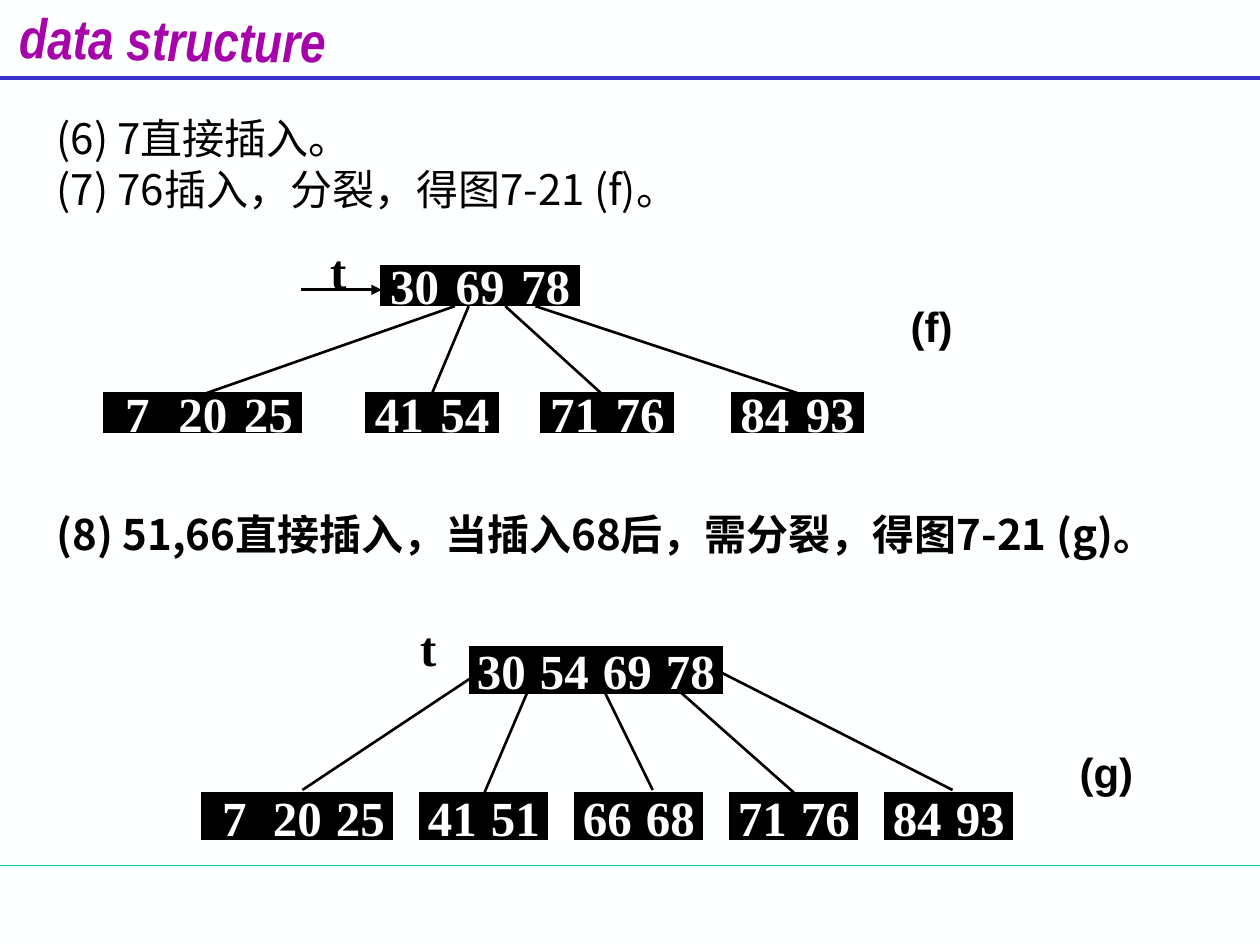
from dataclasses import dataclass
from typing import NamedTuple, Optional

from lxml.etree import SubElement
from pptx import Presentation
from pptx.dml.color import RGBColor
from pptx.enum.shapes import MSO_CONNECTOR, MSO_SHAPE
from pptx.enum.text import MSO_ANCHOR, MSO_AUTO_SIZE, PP_ALIGN
from pptx.oxml.ns import qn
from pptx.util import Inches, Pt


class TextStyle(NamedTuple):
    font: str
    size: float
    color: str
    bold: bool = False
    italic: bool = False


@dataclass(frozen=True)
class Theme:
    background: str = "FEFFFF"
    ink: str = "000000"
    header_rule: str = "3333CC"
    footer_rule: str = "00CC99"
    line_width: float = 1.5
    title: TextStyle = TextStyle("Arial Narrow", 32, "A603AB", True, True)
    step: TextStyle = TextStyle("Noto Sans CJK SC", 24, "000000")
    bold_step: TextStyle = TextStyle("Noto Sans CJK SC", 24, "000000", True)
    caption: TextStyle = TextStyle("Arial", 24, "000000", True)
    key: TextStyle = TextStyle("Times New Roman", 28, "FEFFFF", True)
    pointer: TextStyle = TextStyle("Times New Roman", 28, "000000", True)


THEME = Theme()


class Area(NamedTuple):
    left: float
    top: float
    width: float
    height: float


class Segment(NamedTuple):
    x1: float
    y1: float
    x2: float
    y2: float


class Node(NamedTuple):
    left: float
    keys: str


@dataclass(frozen=True)
class Tree:
    cell_width: float
    cell_height: float
    root_top: float
    leaf_top: float
    root: Node
    leaves: list[Node]
    edges: list[Segment]
    pointer: Area
    caption: str
    caption_area: Area


TREES = [
    Tree(0.52, 0.31, 2.11, 3.12, Node(3.03, "30 69 78"),
         [Node(0.83, "7 20 25"), Node(2.91, "41 54"),
          Node(4.3, "71 76"), Node(5.81, "84 93")],
         [Segment(1.64, 3.12, 3.61, 2.43), Segment(3.43, 3.12, 3.72, 2.43),
          Segment(4.77, 3.12, 4.01, 2.43), Segment(4.25, 2.43, 6.33, 3.12)],
         Area(2.51, 1.86, 0.35, 0.57), "(f)", Area(7.13, 2.41, 0.63, 0.47)),
    Tree(0.5, 0.36, 5.14, 6.3, Node(3.73, "30 54 69 78"),
         [Node(1.61, "7 20 25"), Node(3.34, "41 51"), Node(4.57, "66 68"),
          Node(5.8, "71 76"), Node(7.03, "84 93")],
         [Segment(2.4, 6.27, 3.83, 5.32), Segment(3.82, 6.35, 4.26, 5.32),
          Segment(5.18, 6.27, 4.69, 5.27), Segment(5.25, 5.36, 6.3, 6.29),
          Segment(5.67, 5.31, 7.56, 6.27)],
         Area(3.23, 4.85, 0.34, 0.57), "(g)", Area(8.47, 5.95, 0.63, 0.47)),
]


def inches(area: Area) -> list[int]:
    return [Inches(value) for value in area]


def style_paragraph(para, style: TextStyle, align=PP_ALIGN.LEFT) -> None:
    """Format every run, with the same face for Latin and East Asian text."""
    para.alignment = align
    for span in para.runs:
        font = span.font
        font.name = style.font
        font.size = Pt(style.size)
        font.bold = style.bold
        font.italic = style.italic
        font.color.rgb = RGBColor.from_string(style.color)
        SubElement(font._element, qn("a:ea")).set("typeface", style.font)


def add_text(page, area: Area, text: str, style: TextStyle, align=PP_ALIGN.LEFT,
             hanging: float = 0, spacing: Optional[float] = None) -> None:
    box = page.shapes.add_textbox(*inches(area))
    frame = box.text_frame
    frame.word_wrap = True
    frame.text = text
    for index, para in enumerate(frame.paragraphs):
        style_paragraph(para, style, align)
        if spacing:
            para.line_spacing = spacing
        if index:
            para.space_before = Pt(6)
        if hanging:
            properties = para._p.get_or_add_pPr()
            properties.set("marL", str(Inches(hanging)))
            properties.set("indent", str(-Inches(hanging)))


def add_line(page, segment: Segment, color: str = THEME.ink,
             width: float = THEME.line_width, arrow: bool = False) -> None:
    connector = page.shapes.add_connector(
        MSO_CONNECTOR.STRAIGHT, *[Inches(value) for value in segment])
    connector.line.color.rgb = RGBColor.from_string(color)
    connector.line.width = Pt(width)
    if arrow:
        SubElement(connector.line._get_or_add_ln(), qn("a:tailEnd")).set("type", "triangle")
    SubElement(connector._element.spPr, qn("a:effectLst"))


def add_node(page, node: Node, top: float, width: float, height: float) -> None:
    """Draw one square-cornered cell per key, side by side."""
    for index, key in enumerate(node.keys.split()):
        area = Area(node.left + index * width, top, width, height)
        cell = page.shapes.add_shape(MSO_SHAPE.RECTANGLE, *inches(area))
        cell.shadow.inherit = False
        cell.fill.solid()
        cell.fill.fore_color.rgb = RGBColor.from_string(THEME.ink)
        cell.line.color.rgb = RGBColor.from_string(THEME.ink)
        cell.line.width = Pt(THEME.line_width)
        SubElement(cell.line._get_or_add_ln(), qn("a:miter")).set("lim", "800000")
        frame = cell.text_frame
        frame.word_wrap = False
        frame.vertical_anchor = MSO_ANCHOR.MIDDLE
        frame.text = key
        style_paragraph(frame.paragraphs[0], THEME.key, PP_ALIGN.CENTER)


def add_tree(page, tree: Tree) -> None:
    size = tree.cell_width, tree.cell_height
    for leaf in tree.leaves:
        add_node(page, leaf, tree.leaf_top, *size)
    for edge in tree.edges:
        add_line(page, edge)
    add_node(page, tree.root, tree.root_top, *size)
    add_text(page, tree.pointer, "t", THEME.pointer, PP_ALIGN.CENTER)
    add_text(page, tree.caption_area, tree.caption, THEME.caption, spacing=0.8)


def format_title(title) -> None:
    """Centre the tilted title in a box wide enough for one line."""
    title.left, title.top, title.width, title.height = inches(Area(0.02, -0.01, 2.7, 0.54))
    title.rotation = 0.8
    frame = title.text_frame
    frame.text = "data structure"
    frame.margin_left = frame.margin_right = 0
    frame.auto_size = MSO_AUTO_SIZE.NONE
    frame.vertical_anchor = MSO_ANCHOR.TOP
    style_paragraph(frame.paragraphs[0], THEME.title, PP_ALIGN.CENTER)


def main() -> None:
    deck = Presentation()
    deck.slide_width, deck.slide_height = Inches(10), Inches(7.5)
    page = deck.slides.add_slide(deck.slide_layouts[5])
    page.background.fill.solid()
    page.background.fill.fore_color.rgb = RGBColor.from_string(THEME.background)

    add_line(page, Segment(0, 6.87, 10, 6.87), THEME.footer_rule, 0.75)
    add_line(page, Segment(0, 0.62, 10, 0.62), THEME.header_rule, 2.25)
    format_title(page.shapes.title)
    add_text(page, Area(0.35, 0.92, 5.35, 1.26),
             "(6) 7直接插入。\n(7) 76插入，分裂，得图7-21 (f)。",
             THEME.step, hanging=0.38, spacing=0.8)
    add_text(page, Area(0.35, 3.99, 9.06, 0.71),
             "(8) 51,66直接插入，当插入68后，需分裂，得图7-21 (g)。",
             THEME.bold_step, hanging=0.38)
    for tree in TREES:
        add_tree(page, tree)
    add_line(page, Segment(2.39, 2.3, 3.03, 2.3), arrow=True)

    deck.save("out.pptx")


if __name__ == "__main__":
    main()
